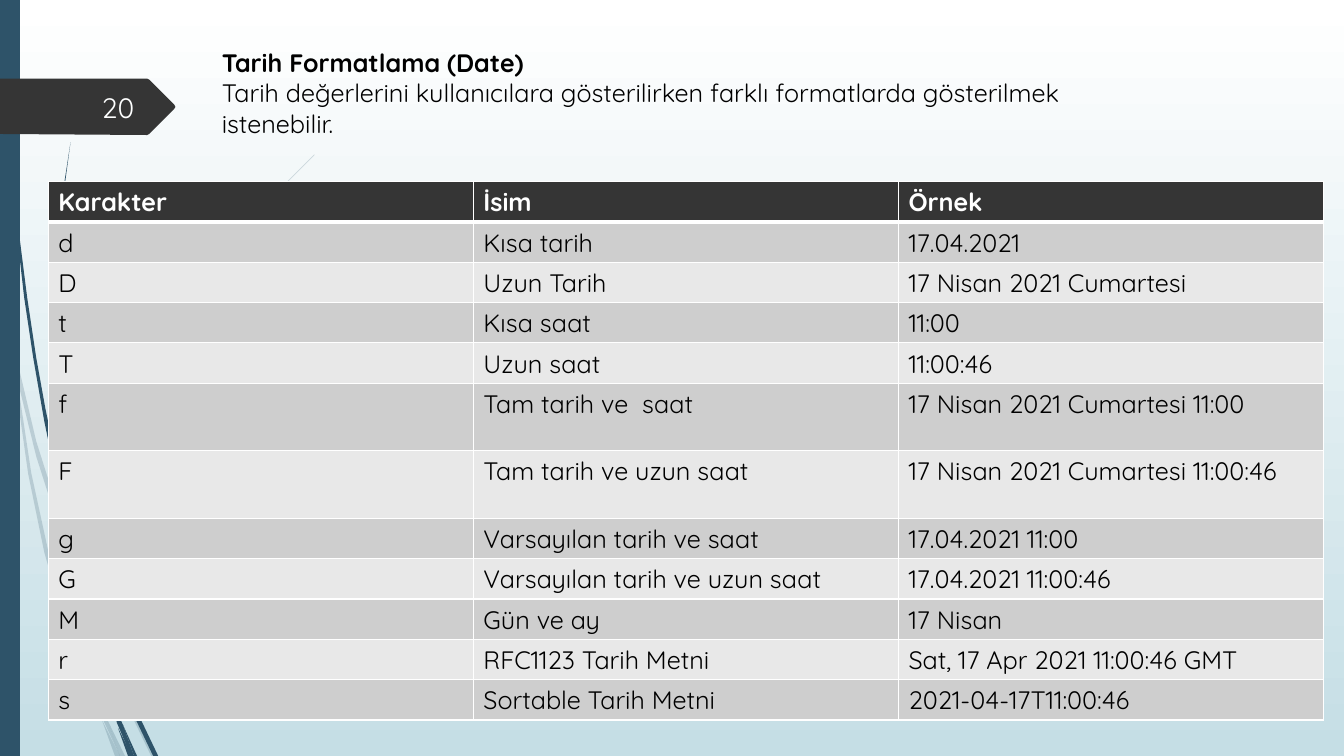
import dataclasses

import pptx
import pptx.dml.color
import pptx.enum.shapes
import pptx.enum.text
import pptx.oxml
import pptx.oxml.ns
import pptx.oxml.xmlchemy
import pptx.shapes.autoshape
import pptx.shapes.base
import pptx.slide
import pptx.table
import pptx.text.text
import pptx.util

# The grid has square cells, ten to the inch: 133.33 columns by 75 rows.
CELL = pptx.util.Inches(0.1)
COLUMNS, ROWS = 133.33, 75
FONT = "Quicksand"
BLUE, CHARCOAL, WHITE, BLACK = "2E5369", "353535", "FFFFFF", "000000"
BANDS = ("CECECE", "E8E8E8")
HEADING = {"name": FONT, "size": pptx.util.Pt(18), "bold": True}
BODY = HEADING | {"bold": False}
NUMBER = BODY | {"size": pptx.util.Pt(20)}


@dataclasses.dataclass(frozen=True)
class Area:
    column: float
    row: float
    width: float
    height: float


@dataclasses.dataclass(frozen=True)
class Outline:
    points: tuple[tuple[float, float], ...]
    color: str = BLUE
    opacity: int = 100


@dataclasses.dataclass(frozen=True)
class DateFormat:
    character: str
    name: str
    example: str
    height: float = 3.8


PALE_BLADES = [Outline(points, opacity=20) for points in (
    ((5.8, 52.2), (8.4, 59.9), (8.5, 58.6), (6.2, 52), (3.6, 43.8), (1.4, 34.5),
     (1.7, 37.6), (3.6, 45.3)),
    ((9.2, 60.7), (8.8, 59.6), (8.8, 61), (12.3, 69.4), (15, 75), (15.5, 75), (12.7, 69.2)),
    ((11.9, 75), (12.4, 75), (10.5, 71.1)),
    ((9.3, 68.3), (7, 61.9), (4.8, 54.7), (3.1, 46.9), (1.7, 37.6), (1.1, 35), (2.8, 47),
     (4.4, 54.8), (6.5, 62.1), (9.2, 69.3), (10.1, 71.4), (9.9, 70.7)),
    ((8.8, 58.4), (9.4, 52), (11, 46.2), (13.2, 40.5), (16, 34.9), (19.2, 29.6),
     (22.9, 24.5), (26.8, 19.8), (31.2, 15.4), (31.2, 15.3), (26.8, 19.7), (22.8, 24.4),
     (19, 29.5), (15.8, 34.8), (12.9, 40.4), (10.7, 46.1), (9, 52), (8.5, 58.4),
     (8.8, 59.6)),
    ((10.1, 71.4), (11.4, 75), (11.9, 75)),
    ((9.6, 69.2), (9.3, 68.3), (9.9, 70.7), (11.9, 75), (10.5, 71.1)),
)]
DARK_BLADES = [Outline(points) for points in (
    ((0.7, 11), (1.7, 23.3), (2.4, 29.5), (3.3, 35.5), (4.4, 41.8), (5.7, 48.1),
     (5.5, 45.3), (4.5, 40.5), (3.6, 35.5), (2.7, 29.5), (1.9, 23.2), (0.8, 10.9),
     (0.5, 4.8), (0.4, 0), (0.3, 0), (0.4, 4.8)),
    ((11.3, 64.9), (11, 64.1), (11.1, 65.6), (13.2, 70.8), (15.2, 75), (15.7, 75),
     (13.6, 70.6)),
    ((6, 47.2), (5.8, 45.3), (5.4, 34.9), (5.8, 24.5), (6.3, 19.3), (7, 14.1),
     (6.2, 19.3), (5.6, 24.5), (5.2, 34.9), (5.5, 44.9)),
    ((13.3, 75), (13.6, 75), (12.2, 71.9)),
    ((11.7, 72.2), (12.7, 75), (13.1, 75)),
    ((11.6, 70.6), (11, 69.1), (11.6, 71.7), (13, 75), (13.3, 75), (12.2, 71.9)),
)]
NUMBER_TAG = Outline(
    ((0, 7.8), (14.6, 7.8), (14.8, 7.9), (17.3, 10.4), (17.4, 10.6), (17.3, 10.8),
     (14.8, 13.3), (14.6, 13.4), (0, 13.3)),
    CHARCOAL,
)
SIDE_BAR = Outline(((0, 0), (2, 0), (2, ROWS), (0, ROWS)))

FORMATS = (
    DateFormat("Karakter", "İsim", "Örnek"),
    DateFormat("d", "Kısa tarih", "17.04.2021"),
    DateFormat("D", "Uzun Tarih", "17 Nisan 2021 Cumartesi"),
    DateFormat("t", "Kısa saat", "11:00"),
    DateFormat("T", "Uzun saat", "11:00:46"),
    DateFormat("f", "Tam tarih ve  saat", "17 Nisan 2021 Cumartesi 11:00", 6.7),
    DateFormat("F", "Tam tarih ve uzun saat", "17 Nisan 2021 Cumartesi 11:00:46", 6.7),
    DateFormat("g", "Varsayılan tarih ve saat", "17.04.2021 11:00"),
    DateFormat("G", "Varsayılan tarih ve uzun saat", "17.04.2021 11:00:46"),
    DateFormat("M", "Gün ve ay", "17 Nisan"),
    DateFormat("r", "RFC1123 Tarih Metni", "Sat, 17 Apr 2021 11:00:46 GMT"),
    DateFormat("s", "Sortable Tarih Metni", "2021-04-17T11:00:46"),
)


def cells(count: float) -> int:
    """Turn a number of grid cells into a slide length."""
    return round(count * CELL)


def rgb(color: str) -> pptx.dml.color.RGBColor:
    return pptx.dml.color.RGBColor.from_string(color)


def frame(area: Area) -> list[int]:
    return [cells(value) for value in dataclasses.astuple(area)]


def write(para: pptx.text.text._Paragraph, text: str, values: dict, color: str) -> None:
    span = para.add_run()
    span.text = text
    for name, value in values.items():
        setattr(span.font, name, value)
    span.font.color.rgb = rgb(color)


def finish(shape: pptx.shapes.autoshape.Shape, color: str) -> None:
    shape.shadow.inherit = False
    shape.fill.solid()
    shape.fill.fore_color.rgb = rgb(color)
    shape.line.fill.background()


def draw_outline(page: pptx.slide.Slide, outline: Outline) -> None:
    first, *others = [(cells(x), cells(y)) for x, y in outline.points]
    builder = page.shapes.build_freeform(*first)
    builder.add_line_segments(others, close=True)
    shape = builder.convert_to_shape()
    finish(shape, outline.color)
    if outline.opacity < 100:
        paint = shape.element.spPr.find(".//" + pptx.oxml.ns.qn("a:srgbClr"))
        alpha = pptx.oxml.xmlchemy.OxmlElement("a:alpha")
        alpha.set("val", str(outline.opacity * 1000))
        paint.append(alpha)


def draw_borders(cell: pptx.table._Cell, top: int, bottom: int) -> None:
    """Rule the cell in white, with the top and bottom widths in points."""
    properties = cell._tc.get_or_add_tcPr()
    for side, width in {"L": 1, "R": 1, "T": top, "B": bottom}.items():
        properties.append(pptx.oxml.parse_xml(
            f'<a:ln{side} {pptx.oxml.ns.nsdecls("a")} w="{pptx.util.Pt(width)}">'
            f'<a:solidFill><a:srgbClr val="{WHITE}"/></a:solidFill></a:ln{side}>'
        ))


def draw_table(page: pptx.slide.Slide, area: Area) -> None:
    table = page.shapes.add_table(len(FORMATS), 3, *frame(area)).table
    for column in table.columns:
        column.width = cells(area.width / 3)
    for index, entry in enumerate(FORMATS):
        table.rows[index].height = cells(entry.height)
        header = index == 0
        fill = CHARCOAL if header else BANDS[(index - 1) % 2]
        texts = (entry.character, entry.name, entry.example)
        for cell, text in zip(table.rows[index].cells, texts):
            draw_borders(cell, 3 if index == 1 else 1, 3 if header else 1)
            cell.fill.solid()
            cell.fill.fore_color.rgb = rgb(fill)
            write(cell.text_frame.paragraphs[0], text,
                  HEADING if header else BODY, WHITE if header else BLACK)


def draw_number(page: pptx.slide.Slide, area: Area) -> None:
    box = page.shapes.add_textbox(*frame(area)).text_frame
    box.word_wrap = True
    box.vertical_anchor = pptx.enum.text.MSO_ANCHOR.MIDDLE
    box.paragraphs[0].alignment = pptx.enum.text.PP_ALIGN.RIGHT
    write(box.paragraphs[0], "20", NUMBER, "FEFFFF")


def fill_title(title: pptx.shapes.base.BaseShape, area: Area) -> None:
    for name, value in zip(("left", "top", "width", "height"), frame(area)):
        setattr(title, name, value)
    box = title.text_frame
    box.word_wrap = True
    box.auto_size = pptx.enum.text.MSO_AUTO_SIZE.SHAPE_TO_FIT_TEXT
    box.vertical_anchor = pptx.enum.text.MSO_ANCHOR.TOP
    intro = ("Tarih değerlerini kullanıcılara gösterilirken farklı formatlarda "
             "gösterilmek istenebilir.")
    lines = ((box.paragraphs[0], "Tarih Formatlama (Date)", HEADING),
             (box.add_paragraph(), intro, BODY))
    for para, text, values in lines:
        para.alignment = pptx.enum.text.PP_ALIGN.LEFT
        write(para, text, values, BLACK)


def main() -> None:
    deck = pptx.Presentation()
    deck.slide_width, deck.slide_height = cells(COLUMNS), cells(ROWS)
    page = deck.slides.add_slide(deck.slide_layouts.get_by_name("Title Only"))
    sky = page.background.fill
    sky.gradient()
    sky.gradient_angle = 270
    for stop, color in zip(sky.gradient_stops, (WHITE, "C5DEE5")):
        stop.color.rgb = rgb(color)
    for outline in (*PALE_BLADES, *DARK_BLADES, SIDE_BAR, NUMBER_TAG):
        draw_outline(page, outline)
    draw_number(page, Area(5.8, 8.6, 8.5, 4))
    draw_table(page, Area(4.8, 18, 126.5, 53.3))
    fill_title(page.shapes.title, Area(21, 4.2, 89.7, 10.1))
    deck.save("out.pptx")


if __name__ == "__main__":
    main()
